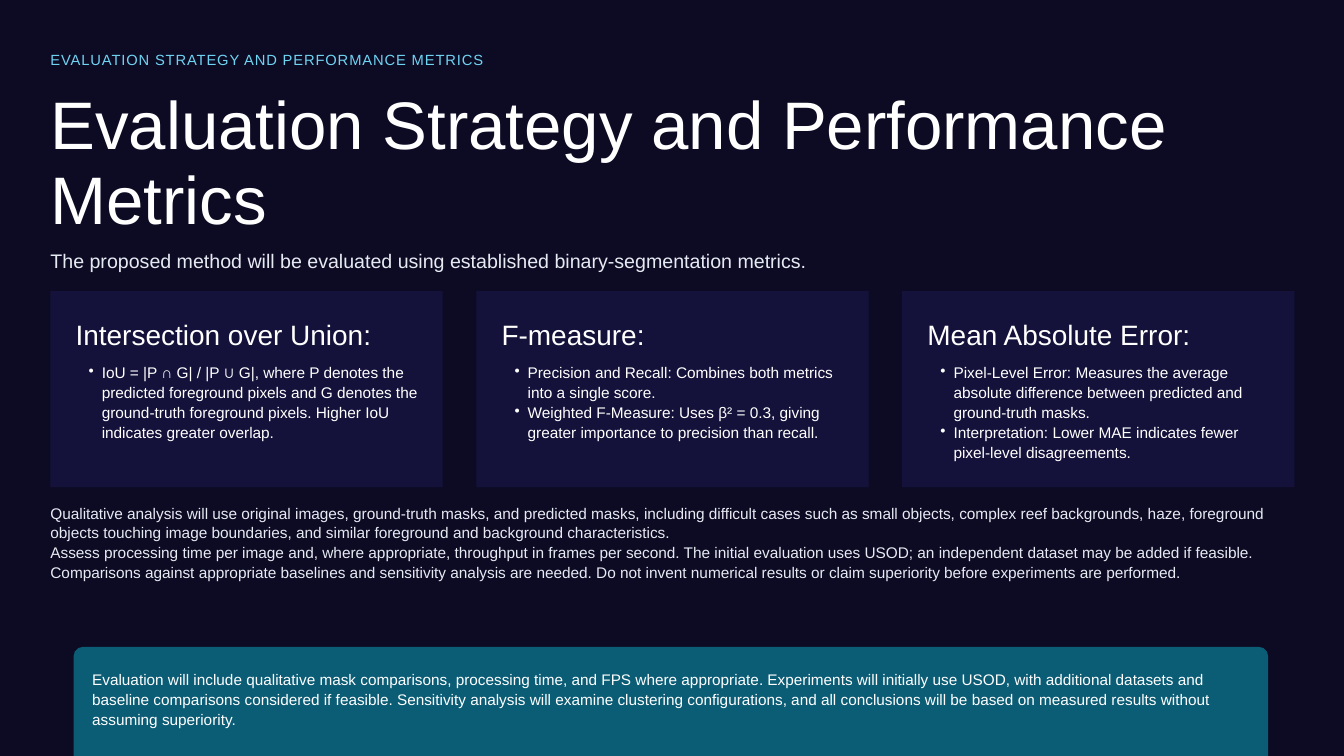
from lxml import etree
from pptx import Presentation
from pptx.dml.color import RGBColor
from pptx.enum.shapes import MSO_SHAPE as SHAPE
from pptx.enum.text import MSO_ANCHOR as ANCHOR, MSO_AUTO_SIZE as AUTO, PP_ALIGN as ALIGN
from pptx.oxml.ns import qn
from pptx.util import Pt

FONT = "Arial"
BACKGROUND, CARD, BANNER = "0D0B24", "14123A", "0B5C75"
WHITE, PALE, SKY = "FFFFFF", "E6EAF2", "6FD3F2"
LEFT, WIDTH, GAP = 54, 1333, 36

CARDS = [
    ("Intersection over Union:", [
        "IoU = |P ∩ G| / |P ∪ G|, where P denotes the predicted foreground pixels and G denotes "
        "the ground-truth foreground pixels. Higher IoU indicates greater overlap."]),
    ("F-measure:", [
        "Precision and Recall: Combines both metrics into a single score.",
        "Weighted F-Measure: Uses β² = 0.3, giving greater importance to precision than recall."]),
    ("Mean Absolute Error:", [
        "Pixel-Level Error: Measures the average absolute difference between predicted and "
        "ground-truth masks.",
        "Interpretation: Lower MAE indicates fewer pixel-level disagreements."]),
]
NOTES = [
    "Qualitative analysis will use original images, ground-truth masks, and predicted masks, "
    "including difficult cases such as small objects, complex reef backgrounds, haze, foreground "
    "objects touching image boundaries, and similar foreground and background characteristics.",
    "Assess processing time per image and, where appropriate, throughput in frames per second. "
    "The initial evaluation uses USOD; an independent dataset may be added if feasible. "
    "Comparisons against appropriate baselines and sensitivity analysis are needed. "
    "Do not invent numerical results or claim superiority before experiments are performed.",
]
SUMMARY = (
    "Evaluation will include qualitative mask comparisons, processing time, and FPS where "
    "appropriate. Experiments will initially use USOD, with additional datasets and baseline "
    "comparisons considered if feasible. Sensitivity analysis will examine clustering "
    "configurations, and all conclusions will be based on measured results without assuming "
    "superiority.")


def rgb(value):
    return RGBColor.from_string(value)


def add_bullet(p):
    pPr = p._p.get_or_add_pPr()
    pPr.set("marL", str(Pt(28)))
    pPr.set("indent", str(-Pt(14)))
    etree.SubElement(pPr, qn("a:buChar")).set("char", "•")


def add_text(s, box, paragraphs, size=16.5, leading=21.4, color=WHITE, bullet=False,
             tracking=0, holder=None):
    """Write paragraphs into a new text box, or into the given placeholder."""
    x, y, w, h = (Pt(v) for v in box)
    sp = holder or s.shapes.add_textbox(x, y, w, h)
    sp.left, sp.top, sp.width, sp.height = x, y, w, h
    tf = sp.text_frame
    tf.word_wrap, tf.auto_size, tf.vertical_anchor = True, AUTO.NONE, ANCHOR.TOP
    tf.margin_left = tf.margin_right = tf.margin_top = tf.margin_bottom = 0
    for i, text in enumerate(paragraphs):
        p = tf.add_paragraph() if i else tf.paragraphs[0]
        p.alignment = ALIGN.LEFT
        p.line_spacing = Pt(leading)
        p.space_before = p.space_after = Pt(0)
        if bullet:
            add_bullet(p)
        r = p.add_run()
        r.text = text
        r.font.name, r.font.size = FONT, Pt(size)
        r.font.color.rgb = rgb(color)
        if tracking:
            r._r.get_or_add_rPr().set("spc", str(round(tracking * 100)))


def add_panel(s, box, color, shape=SHAPE.RECTANGLE):
    sp = s.shapes.add_shape(shape, *(Pt(v) for v in box))
    sp.shadow.inherit = False
    sp.fill.solid()
    sp.fill.fore_color.rgb = rgb(color)
    sp.line.fill.background()
    return sp


def add_header(s, x, y, w):
    add_text(s, (x, y, w, 23), ["EVALUATION STRATEGY AND PERFORMANCE METRICS"],
             size=15.8, leading=20.4, color=SKY, tracking=0.9)
    add_text(s, (x, y + 40.4, w, 159), ["Evaluation Strategy and Performance Metrics"],
             size=72, leading=80.4, holder=s.shapes.title)
    add_text(s, (x, y + 211.6, w, 30),
             ["The proposed method will be evaluated using established binary-segmentation metrics."],
             size=21, leading=27.2, color=PALE)


def add_card(s, x, y, w, h, heading, points):
    add_panel(s, (x, y, w, h), CARD)
    inner = w - 2 * 27
    add_text(s, (x + 27, y + 31, inner, 33), [heading], size=30, leading=33.5)
    add_text(s, (x + 27, y + 75.6, inner, h - 84), points, bullet=True)


def add_cards(s, x, y, w, h):
    card_w = (w - GAP * (len(CARDS) - 1)) / len(CARDS)
    for i, (heading, points) in enumerate(CARDS):
        add_card(s, x + i * (card_w + GAP), y, card_w, h, heading, points)


def add_banner(s, x, y, w, h):
    sp = add_panel(s, (x, y, w, h), BANNER, SHAPE.ROUNDED_RECTANGLE)
    sp.adjustments[0] = 0.08
    add_text(s, (x + 20, y + 23.5, w - 40, h - 45), [SUMMARY], size=16.4, leading=21.3)


def main():
    prs = Presentation()
    prs.slide_width, prs.slide_height = Pt(1440), Pt(810)
    s = prs.slides.add_slide(prs.slide_layouts[5])
    s.background.fill.solid()
    s.background.fill.fore_color.rgb = rgb(BACKGROUND)
    add_header(s, LEFT, 53.3, WIDTH)
    add_cards(s, LEFT, 312, WIDTH, 210)
    add_text(s, (LEFT, 538, WIDTH, 128), NOTES, color=PALE)
    add_banner(s, 78.8, 693, 1280, 128)
    prs.save("out.pptx")


if __name__ == "__main__":
    main()
